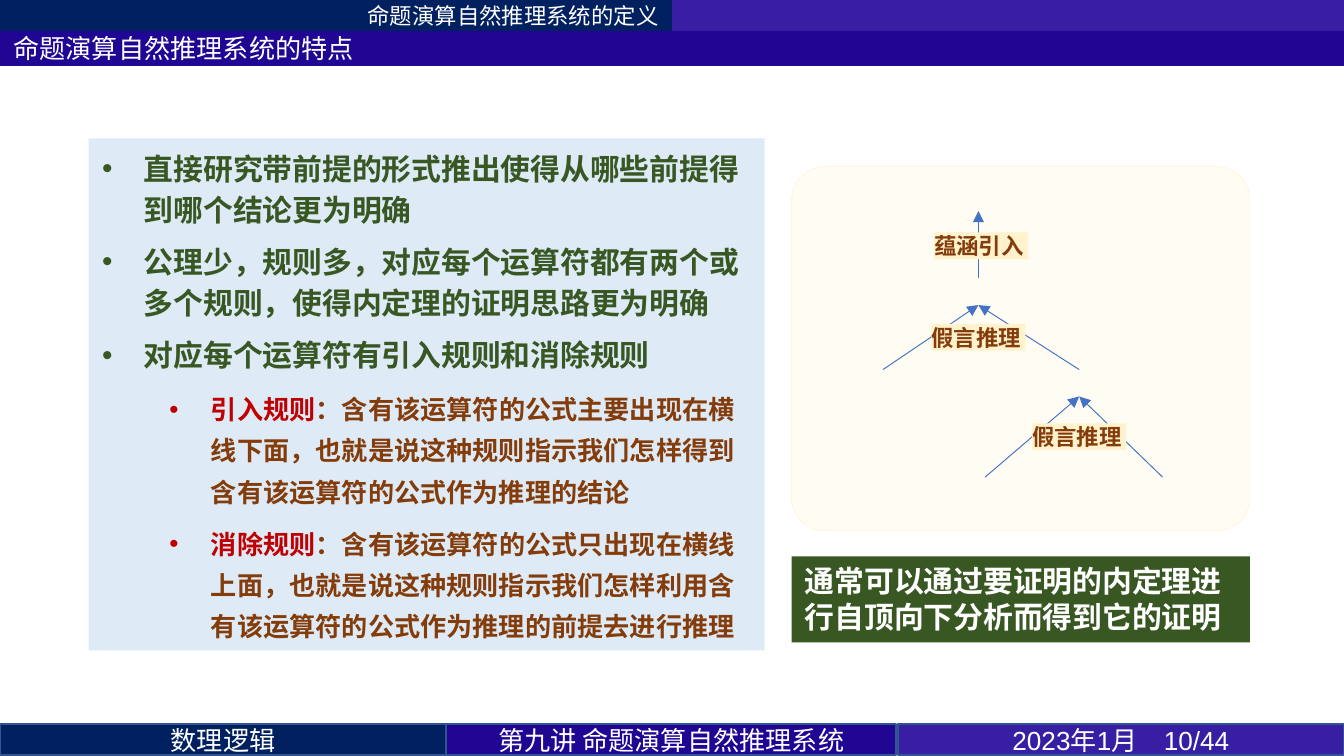
from lxml import etree
from pptx import Presentation
from pptx.dml.color import RGBColor
from pptx.enum.shapes import MSO_CONNECTOR, MSO_SHAPE
from pptx.enum.text import MSO_ANCHOR, MSO_AUTO_SIZE, PP_ALIGN
from pptx.oxml.ns import qn
from pptx.util import Inches, Pt

WHITE = RGBColor(0xFF, 0xFF, 0xFF)
NAVY = RGBColor(0x00, 0x20, 0x60)
VIOLET = RGBColor(0x37, 0x1E, 0xA2)
INDIGO = RGBColor(0x21, 0x06, 0x94)
BORDER = RGBColor(0x32, 0x54, 0x91)
PALE_BLUE = RGBColor(0xDE, 0xEB, 0xF7)
GREEN = RGBColor(0x38, 0x57, 0x23)
BROWN = RGBColor(0x84, 0x3C, 0x0B)
RED = RGBColor(0xC0, 0x00, 0x00)
CREAM = RGBColor(0xFF, 0xF2, 0xCC)
ARROW_BLUE = RGBColor(0x44, 0x72, 0xC4)
CJK = "Noto Sans CJK SC"


def set_font(font, size, name, color, bold=False):
    font.size, font.name, font.bold = Pt(size), name, bold
    font.color.rgb = color
    latin = font._element.find(qn("a:latin"))
    east_asian = etree.Element(qn("a:ea"), typeface=CJK)
    latin.addnext(east_asian)


def add_box(left, top, width, height, fill, text="", size=14, name=CJK, color=WHITE,
            bold=False, align=PP_ALIGN.LEFT, anchor=MSO_ANCHOR.MIDDLE, kind=MSO_SHAPE.RECTANGLE):
    shape = slide.shapes.add_shape(kind, Inches(left), Inches(top), Inches(width), Inches(height))
    shape.shadow.inherit = False
    shape.fill.solid()
    shape.fill.fore_color.rgb = fill
    shape.line.fill.background()
    if text:
        frame = shape.text_frame
        frame.word_wrap = True
        frame.vertical_anchor = anchor
        paragraph = frame.paragraphs[0]
        paragraph.text = text
        paragraph.alignment = align
        set_font(paragraph.font, size, name, color, bold)
    return shape


# Widescreen 16:9 slide
presentation = Presentation()
presentation.slide_width = Inches(10)
presentation.slide_height = Inches(10) * 9 // 16
slide = presentation.slides.add_slide(presentation.slide_layouts[1])
title, body = slide.placeholders

# Title bar and list panel
for placeholder, place, fill, anchor in [
    (title, (0, 0.23, 10, 0.26), INDIGO, MSO_ANCHOR.MIDDLE),
    (body, (0.66, 1.03, 5.03, 3.81), PALE_BLUE, MSO_ANCHOR.TOP),
]:
    placeholder.left, placeholder.top, placeholder.width, placeholder.height = map(Inches, place)
    placeholder.fill.solid()
    placeholder.fill.fore_color.rgb = fill
    placeholder.text_frame.auto_size = MSO_AUTO_SIZE.NONE
    placeholder.text_frame.vertical_anchor = anchor
title.text_frame.text = "命题演算自然推理系统的特点"
heading = title.text_frame.paragraphs[0]
heading.alignment = PP_ALIGN.LEFT
set_font(heading.font, 14, "Calibri", WHITE)

# List: (level, highlighted term, text)
items = [
    (0, "", "直接研究带前提的形式推出使得从哪些前提得到哪个结论更为明确"),
    (0, "", "公理少，规则多，对应每个运算符都有两个或多个规则，使得内定理的证明思路更为明确"),
    (0, "", "对应每个运算符有引入规则和消除规则"),
    (1, "引入规则", "：含有该运算符的公式主要出现在横线下面，"
                "也就是说这种规则指示我们怎样得到含有该运算符的公式作为推理的结论"),
    (1, "消除规则", "：含有该运算符的公式只出现在横线上面，"
                "也就是说这种规则指示我们怎样利用含有该运算符的公式作为推理的前提去进行推理"),
]
for index, (level, term, text) in enumerate(items):
    paragraph = body.text_frame.add_paragraph() if index else body.text_frame.paragraphs[0]
    paragraph.level = level
    paragraph.alignment = PP_ALIGN.LEFT
    paragraph.line_spacing = Pt(22)
    paragraph.space_before = Pt(6 if index else 0)
    properties = paragraph._p.get_or_add_pPr()
    properties.set("marL", str(Inches(0.81 if level else 0.31)))
    properties.set("indent", str(Inches(-0.31)))
    etree.SubElement(properties, qn("a:buFont"), typeface="Arial")
    etree.SubElement(properties, qn("a:buChar"), char="•")
    if term:
        for words, name, color in [(term, "Arial", RED), (text, CJK, BROWN)]:
            run = paragraph.add_run()
            run.text = words
            set_font(run.font, 14, name, color, True)
    else:
        paragraph.text = text
        set_font(paragraph.font, 16, "Calibri", GREEN, True)

# Top navigation bar
add_box(0, 0, 5, 0.23, NAVY, "命题演算自然推理系统的定义", size=12, align=PP_ALIGN.RIGHT)
add_box(5, 0, 5, 0.23, VIOLET)

# Footer bar
for left, width, fill, text, name in [
    (0, 3.32, NAVY, "数理逻辑", CJK),
    (3.32, 3.35, INDIGO, "第九讲 命题演算自然推理系统", CJK),
    (6.68, 3.32, VIOLET, "2023年1月　10/44", "Arial"),
]:
    cell = add_box(left, 5.39, width, 0.23, fill, text, name=name, align=PP_ALIGN.CENTER)
    cell.line.color.rgb = BORDER
    cell.line.width = Pt(1)

# Proof tree panel
panel = add_box(5.89, 1.24, 3.41, 2.71, CREAM, kind=MSO_SHAPE.ROUNDED_RECTANGLE)
panel.adjustments[0] = 0.09
panel.line.color.rgb = CREAM
panel.line.width = Pt(0.25)
panel_color = panel.fill._xPr.find(qn("a:solidFill"))[0]
etree.SubElement(panel_color, qn("a:alpha"), val="21000")

# Inference arrows
for x1, y1, x2, y2 in [
    (7.28, 2.07, 7.28, 1.57),
    (6.57, 2.75, 7.28, 2.27),
    (8.03, 2.75, 7.28, 2.27),
    (7.33, 3.55, 8.03, 2.95),
    (8.65, 3.55, 8.03, 2.95),
]:
    arrow = slide.shapes.add_connector(
        MSO_CONNECTOR.STRAIGHT, Inches(x1), Inches(y1), Inches(x2), Inches(y2))
    arrow.line.color.rgb = ARROW_BLUE
    arrow.line.width = Pt(0.5)
    etree.SubElement(arrow.line._get_or_add_ln(), qn("a:tailEnd"), type="triangle")
    etree.SubElement(arrow._element.spPr, qn("a:effectLst"))

# Rule labels
for left, top, text in [(7.68, 3.15, "假言推理"), (6.93, 2.41, "假言推理"), (6.95, 1.73, "蕴涵引入")]:
    label = add_box(left, top, 0.7, 0.2, CREAM, text, 12, "Calibri", BROWN, True,
                    anchor=MSO_ANCHOR.TOP)
    frame = label.text_frame
    frame.margin_left = frame.margin_right = frame.margin_top = frame.margin_bottom = 0

# Conclusion
add_box(5.89, 4.14, 3.41, 0.64, GREEN, "通常可以通过要证明的内定理进行自顶向下分析而得到它的证明",
        16, "Calibri", bold=True, anchor=MSO_ANCHOR.TOP)

presentation.save("out.pptx")
